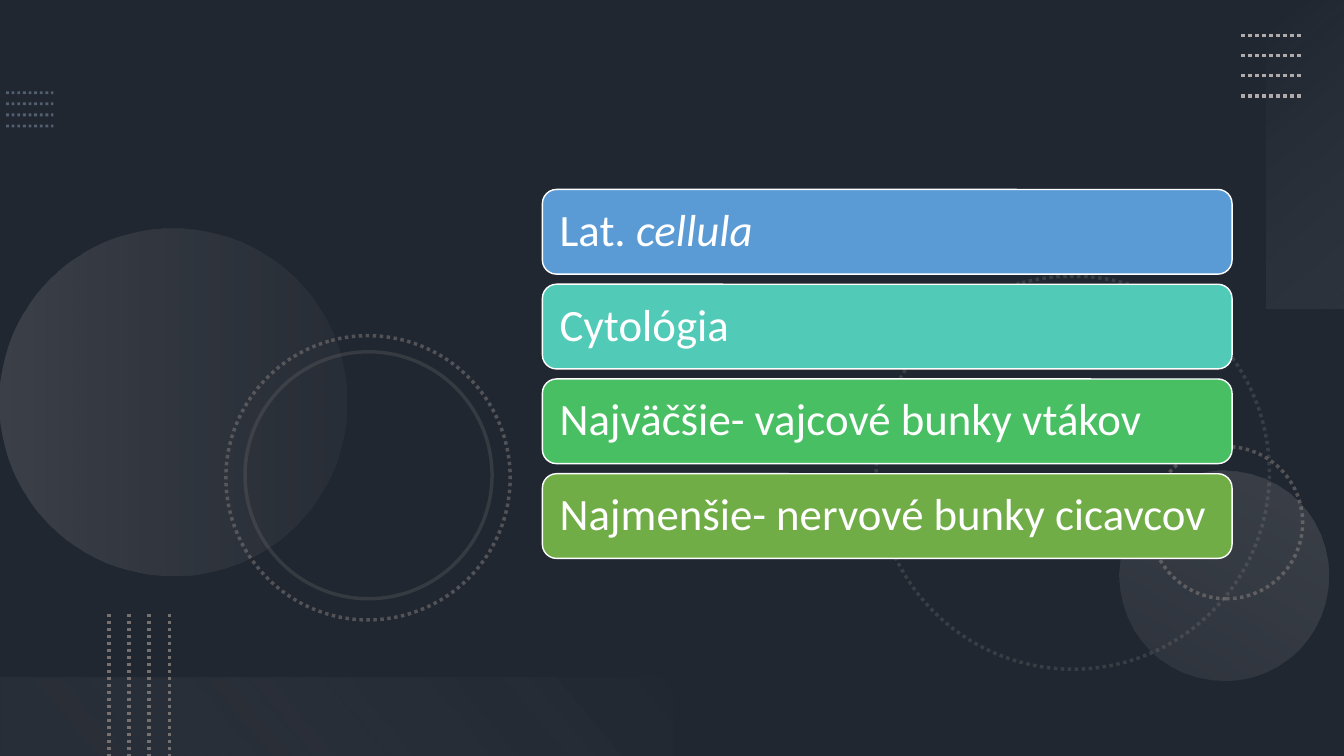
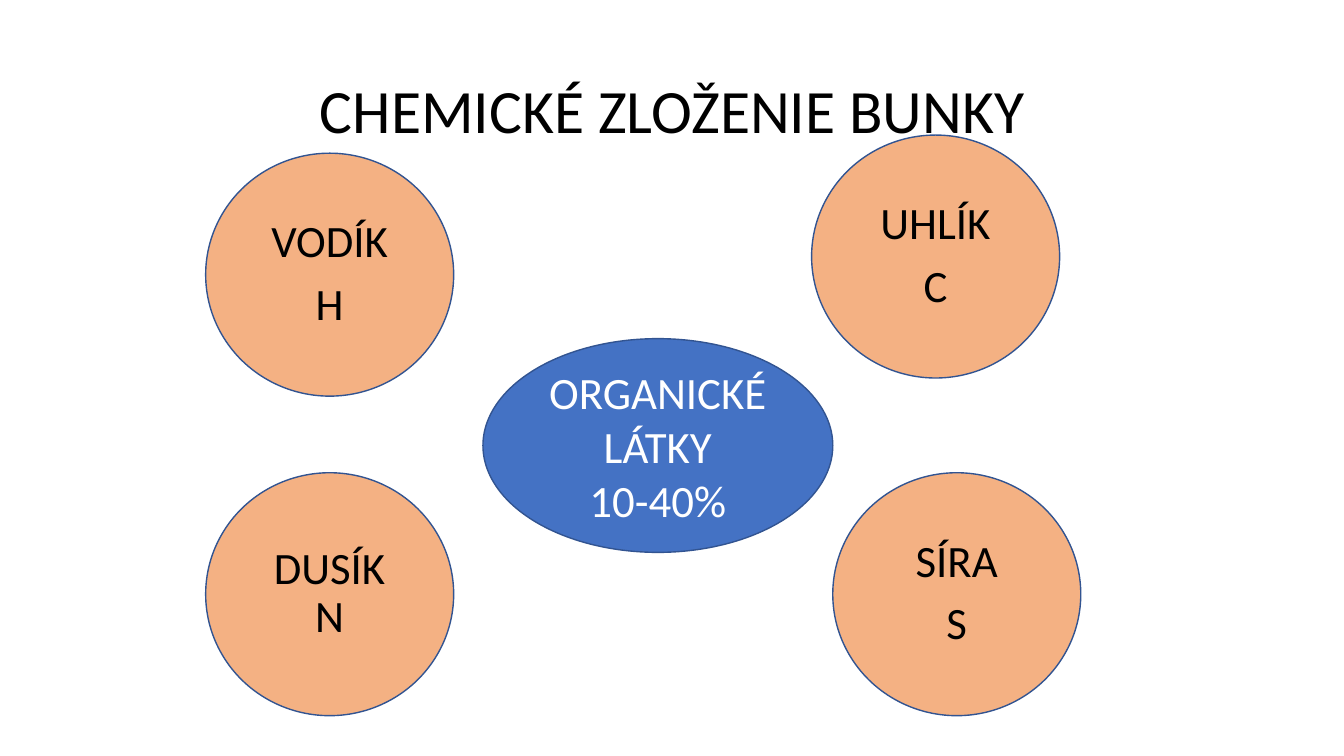
from lxml import etree
from pptx import Presentation
from pptx.dml.color import RGBColor
from pptx.enum.dml import MSO_LINE
from pptx.enum.shapes import MSO_CONNECTOR, MSO_SHAPE
from pptx.enum.text import MSO_ANCHOR, MSO_AUTO_SIZE, PP_ALIGN
from pptx.oxml.ns import qn
from pptx.util import Pt

PX = 9144
FONT = "Calibri"
COLORS = {
    "slate": "44546A", "black": "000000", "white": "FFFFFF",
    "steel": "8497B0", "gray": "767171", "silver": "AFABAB",
    "mist": "F5F5F5", "pearl": "F1F0F0",
    "sky": "5B9BD5", "teal": "52CAB8", "green": "49BF64", "olive": "70AD47",
    "blue": "4472C4", "navy": "325491", "peach": "F4B183",
}
RECTANGLE, ROUNDED, OVAL = MSO_SHAPE.RECTANGLE, MSO_SHAPE.ROUNDED_RECTANGLE, MSO_SHAPE.OVAL
DOTTED = MSO_LINE.ROUND_DOT
STRAIGHT = MSO_CONNECTOR.STRAIGHT
MIDDLE = MSO_ANCHOR.MIDDLE
NO_AUTOFIT = MSO_AUTO_SIZE.NONE
LEFT, CENTER = PP_ALIGN.LEFT, PP_ALIGN.CENTER


def px(*lengths):
    return [length * PX for length in lengths]


def rgb(name):
    return RGBColor.from_string(COLORS[name])


def set_opacity(element, *percentages):
    for color, percentage in zip(element.iter(qn("a:srgbClr")), percentages):
        etree.SubElement(color, qn("a:alpha"), val=str(percentage * 1000))


def style_line(line, color, width, opacity=100, dash=None):
    line.color.rgb = rgb(color)
    line.width = Pt(width)
    if dash is not None:
        line.dash_style = dash
    if opacity < 100:
        set_opacity(line.fill._xPr, opacity)


def add_shape(slide, kind, box, fill=None, line=None, rotation=0, opacity=100):
    shape = slide.shapes.add_shape(kind, *px(*box))
    shape.shadow.inherit = False
    shape.rotation = rotation
    if fill:
        shape.fill.solid()
        shape.fill.fore_color.rgb = rgb(fill)
        if opacity < 100:
            set_opacity(shape.fill._xPr, opacity)
    else:
        shape.fill.background()
    if line:
        style_line(shape.line, line, 1)
    else:
        shape.line.fill.background()
    return shape


def add_gradient(slide, kind, box, rotation, angle, stops):
    shape = add_shape(slide, kind, box, rotation=rotation)
    shape.fill.gradient()
    shape.fill.gradient_angle = 360 - angle
    for gradient_stop, (position, color, opacity) in zip(shape.fill.gradient_stops, stops):
        gradient_stop.position = position
        gradient_stop.color.rgb = rgb(color)
    set_opacity(shape.fill._xPr, *[stop[2] for stop in stops])


def add_ring(slide, left, top, size, rotation, opacity, dash=DOTTED):
    ring = add_shape(slide, OVAL, (left, top, size, size), rotation=rotation)
    style_line(ring.line, "gray", 2.5, opacity, dash)


def add_dotted_lines(slide, start, end, step, color, width=2.5, opacity=100):
    for index in range(4):
        shift_x, shift_y = step[0] * index, step[1] * index
        connector = slide.shapes.add_connector(STRAIGHT, *px(
            start[0] + shift_x, start[1] + shift_y, end[0] + shift_x, end[1] + shift_y))
        style_line(connector.line, color, width, opacity, DOTTED)
        etree.SubElement(connector._element.spPr, qn("a:effectLst"))


def write_text(shape, paragraphs, *, size=32, color="black", align=CENTER,
               spacing=0.9, before=0, inset=None):
    frame = shape.text_frame
    frame.word_wrap = True
    frame.auto_size = NO_AUTOFIT
    frame.vertical_anchor = MIDDLE
    if inset is not None:
        frame.margin_left = frame.margin_right = inset * PX
        frame.margin_top = frame.margin_bottom = inset * PX
    for index, runs in enumerate(paragraphs):
        paragraph = frame.add_paragraph() if index else frame.paragraphs[0]
        paragraph.alignment = align
        paragraph.line_spacing = spacing
        paragraph.space_before = Pt(before if index else 0)
        for text in runs:
            if text == "\n":
                paragraph.add_line_break()
                continue
            run = paragraph.add_run()
            run.text = text
            run.font.size = Pt(size)
            run.font.name = FONT
            run.font.color.rgb = rgb(color)


def place(shape, box):
    shape.left, shape.top, shape.width, shape.height = px(*box)


def make_oval_placeholder(placeholder, box, fill, line):
    place(placeholder, box)
    geometry = etree.SubElement(placeholder._element.spPr, qn("a:prstGeom"), prst="ellipse")
    etree.SubElement(geometry, qn("a:avLst"))
    placeholder.fill.solid()
    placeholder.fill.fore_color.rgb = rgb(fill)
    style_line(placeholder.line, line, 1)


def remove_bullets(shape):
    for paragraph in shape.text_frame.paragraphs:
        properties = paragraph._p.get_or_add_pPr()
        properties.set("marL", "0")
        properties.set("indent", "0")
        etree.SubElement(properties, qn("a:buNone"))


def add_backdrop(slide):
    slide.background.fill.solid()
    slide.background.fill.fore_color.rgb = rgb("slate")
    add_shape(slide, RECTANGLE, (0, 0, 1333, 750), "black", opacity=53)
    add_dotted_lines(slide, (6, 92), (53, 92), (0, 11), "steel", 2, 50)
    add_ring(slide, 869, 274, 390, 75, 30)
    add_ring(slide, 1141, 443, 151, 270, 60)
    add_gradient(slide, OVAL, (0, 227, 344, 344), 270, 90,
                 [(0, "silver", 20), (1, "gray", 10)])
    add_gradient(slide, OVAL, (1110, 467, 208, 208), 210, 90,
                 [(0, "silver", 10), (1, "silver", 20)])
    add_ring(slide, 224, 333, 282, 75, 60)
    add_ring(slide, 243, 349, 245, 75, 25, dash=None)
    add_gradient(slide, RECTANGLE, (1142, 114, 306, 78), 270, 140,
                 [(0, "mist", 0), (1, "silver", 10)])
    add_dotted_lines(slide, (1231, 35), (1291, 35), (0, 20), "silver")
    add_gradient(slide, RECTANGLE, (0, 672, 667, 78), 180, 140,
                 [(0.1, "gray", 10), (1, "pearl", 0)])
    add_dotted_lines(slide, (108, 609), (108, 750), (20, 0), "gray")


def build_cell_slide(presentation):
    slide = presentation.slides.add_slide(presentation.slide_layouts[6])
    add_backdrop(slide)
    facts = [
        ("sky", ("Lat. ", "cellula")),
        ("teal", ("Cytológia",)),
        ("green", ("Najväčšie- vajcové bunky vtákov",)),
        ("olive", ("Najmenšie- nervové bunky cicavcov",)),
    ]
    bars = []
    for index, (color, runs) in enumerate(facts):
        bar = add_shape(slide, ROUNDED, (538, 188 + 94 * index, 684, 84), color, "white")
        write_text(bar, [runs], color="white", align=LEFT, inset=13)
        bars.append(bar)
    bars[0].text_frame.paragraphs[0].runs[1].font.italic = True


def build_chemistry_slide(presentation):
    slide = presentation.slides.add_slide(presentation.slide_layouts[1])
    title, hydrogen = slide.placeholders
    place(title, (92, 40, 1150, 145))
    write_text(title, [("CHEMICKÉ ZLOŽENIE BUNKY",)], size=44)

    center = add_shape(slide, OVAL, (479, 336, 347, 212), "blue", "navy")
    write_text(center, [("ORGANICKÉ LÁTKY", "\n", "10-40%")], color="white", spacing=1.0)

    make_oval_placeholder(hydrogen, (204, 152, 246, 241), "peach", "navy")
    write_text(hydrogen, [("VODÍK",), ("H",)], before=10)
    remove_bullets(hydrogen)

    elements = [
        (805, 134, [("UHLÍK",), ("C",)]),
        (826, 469, [("SÍRA",), ("S",)]),
        (204, 469, [("DUSÍK", "\n", "N")]),
    ]
    for left, top, paragraphs in elements:
        circle = add_shape(slide, OVAL, (left, top, 246, 241), "peach", "navy")
        write_text(circle, paragraphs, before=10)


def main():
    presentation = Presentation()
    presentation.slide_width, presentation.slide_height = px(1333, 750)
    build_cell_slide(presentation)
    build_chemistry_slide(presentation)
    presentation.save("out.pptx")


if __name__ == "__main__":
    main()
